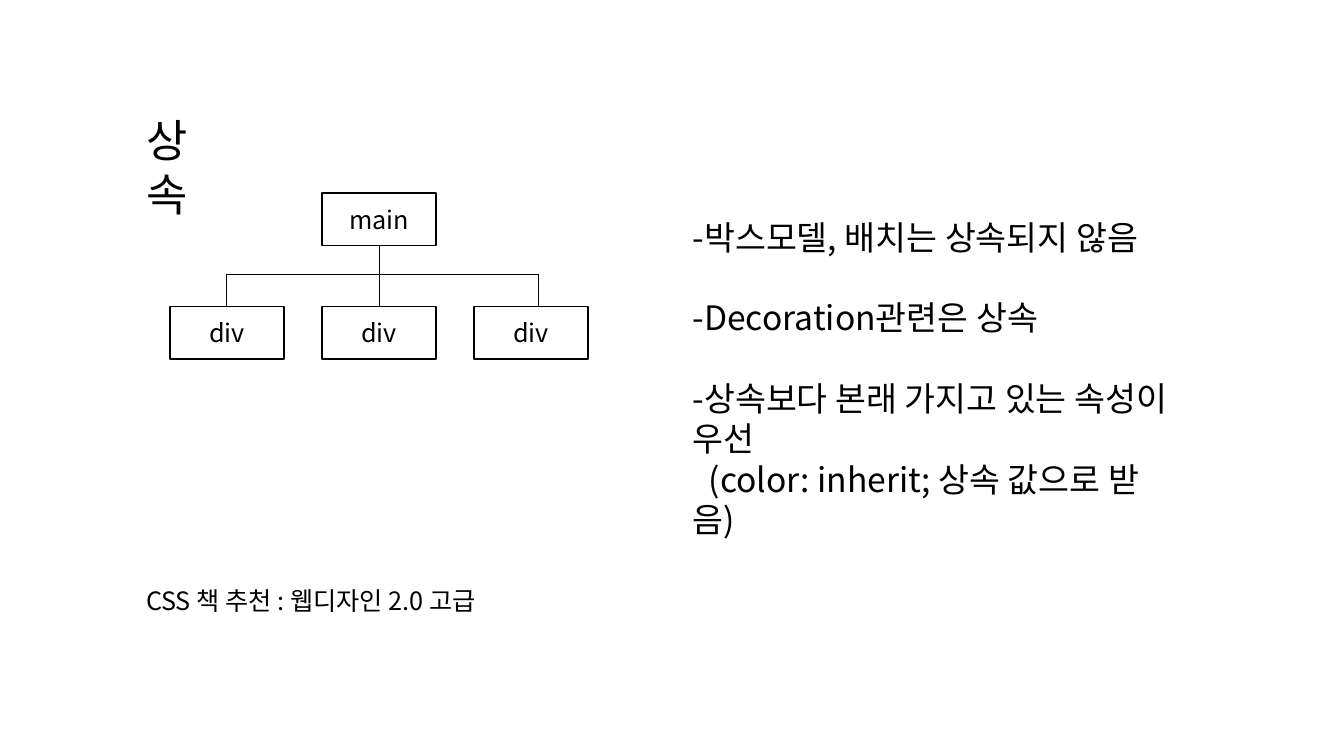
from pptx import Presentation
from pptx.dml.color import RGBColor
from pptx.enum.shapes import MSO_CONNECTOR, MSO_SHAPE
from pptx.enum.text import MSO_ANCHOR, MSO_AUTO_SIZE, PP_ALIGN
from pptx.oxml.ns import qn
from pptx.util import Pt
from lxml import etree

RECTANGLE, STRAIGHT = MSO_SHAPE.RECTANGLE, MSO_CONNECTOR.STRAIGHT
TOP, MIDDLE = MSO_ANCHOR.TOP, MSO_ANCHOR.MIDDLE
LEFT, CENTER = PP_ALIGN.LEFT, PP_ALIGN.CENTER
NO_AUTOFIT = MSO_AUTO_SIZE.NONE

# Content
TITLE = "상속"
RULES = [  # text, space before in lines, first-line indent in points
    ("-박스모델, 배치는 상속되지 않음", 0, 0),
    ("-Decoration관련은 상속", 1, 0),
    ("-상속보다 본래 가지고 있는 속성이 우선", 1, 0),
    ("(color: inherit; 상속 값으로 받음)", 0, 11.5),
]
BOOK_NOTE = "CSS 책 추천 : 웹디자인 2.0 고급"
PARENT = "main"
CHILDREN = ["div", "div", "div"]

# Style
FONT = "Noto Sans CJK KR"
COLORS = {"ink": "000000"}
INK = RGBColor.from_string(COLORS["ink"])
LINE_HEIGHT = 1.2

# Tree layout in points
NODE_WIDTH, NODE_HEIGHT = 81.5, 37.5
CHILD_LEFT, CHILD_STEP = 121.5, 108.5
PARENT_TOP, BUS_TOP, CHILD_TOP = 138, 196, 219
BUS_LEFT, BUS_RIGHT = 162, 384.5


def place(shape, left, top, width, height):
    bounds = {"left": left, "top": top, "width": width, "height": height}
    for name, value in bounds.items():
        setattr(shape, name, Pt(value))


def write(shape, lines, size, align=LEFT, anchor=TOP):
    frame = shape.text_frame
    settings = {"word_wrap": True, "auto_size": NO_AUTOFIT, "vertical_anchor": anchor}
    for name, value in settings.items():
        setattr(frame, name, value)
    for index, (text, gap, indent) in enumerate(lines):
        para = frame.paragraphs[0] if index == 0 else frame.add_paragraph()
        spacing = {
            "alignment": align,
            "line_spacing": Pt(size * LINE_HEIGHT),
            "space_before": Pt(gap * size * LINE_HEIGHT),
            "space_after": Pt(0),
        }
        for name, value in spacing.items():
            setattr(para, name, value)
        properties = para._p.get_or_add_pPr()
        properties.set("marL", "0")
        properties.set("indent", str(Pt(indent)))
        etree.SubElement(properties, qn("a:buNone"))
        span = para.add_run()
        span.text = text
        for name, value in {"name": FONT, "size": Pt(size)}.items():
            setattr(span.font, name, value)
        span.font.color.rgb = INK
        east_asian = etree.SubElement(span._r.get_or_add_rPr(), qn("a:ea"))
        east_asian.set("typeface", FONT)


def add_node(slide, text, left, top):
    node = slide.shapes.add_shape(
        RECTANGLE, Pt(left), Pt(top), Pt(NODE_WIDTH), Pt(NODE_HEIGHT))
    node.shadow.inherit = False
    node.fill.background()
    node.line.color.rgb = INK
    node.line.width = Pt(1)
    write(node, [(text, 0, 0)], 18, CENTER, MIDDLE)


def add_line(slide, *ends):
    line = slide.shapes.add_connector(STRAIGHT, *[Pt(end) for end in ends])
    line.line.color.rgb = INK
    line.line.width = Pt(0.5)
    etree.SubElement(line._element.spPr, qn("a:effectLst"))


def main():
    deck = Presentation()
    deck.slide_width, deck.slide_height = Pt(960), Pt(540)
    slide = deck.slides.add_slide(deck.slide_layouts[1])

    # Title and inheritance rules
    title, body = slide.shapes.title, slide.placeholders[1]
    place(title, 97.2, 77, 65.5, 46)
    write(title, [(TITLE, 0, 0)], 32)
    place(body, 487.5, 151.2, 356.5, 181.5)
    write(body, RULES, 24)

    # Tree nodes
    parent_left = CHILD_LEFT + CHILD_STEP * (len(CHILDREN) // 2)
    add_node(slide, PARENT, parent_left, PARENT_TOP)
    for index, child in enumerate(CHILDREN):
        add_node(slide, child, CHILD_LEFT + index * CHILD_STEP, CHILD_TOP)

    # Tree branches
    trunk = parent_left + NODE_WIDTH / 2
    add_line(slide, trunk, PARENT_TOP + NODE_HEIGHT, trunk, CHILD_TOP)
    add_line(slide, BUS_LEFT, BUS_TOP, BUS_RIGHT, BUS_TOP)
    for branch in (BUS_LEFT, BUS_RIGHT):
        add_line(slide, branch, BUS_TOP, branch, CHILD_TOP)

    # Book recommendation
    note = slide.shapes.add_textbox(0, 0, 0, 0)
    place(note, 97.2, 414.7, 276, 29)
    write(note, [(BOOK_NOTE, 0, 0)], 18)

    deck.save("out.pptx")


if __name__ == "__main__":
    main()
